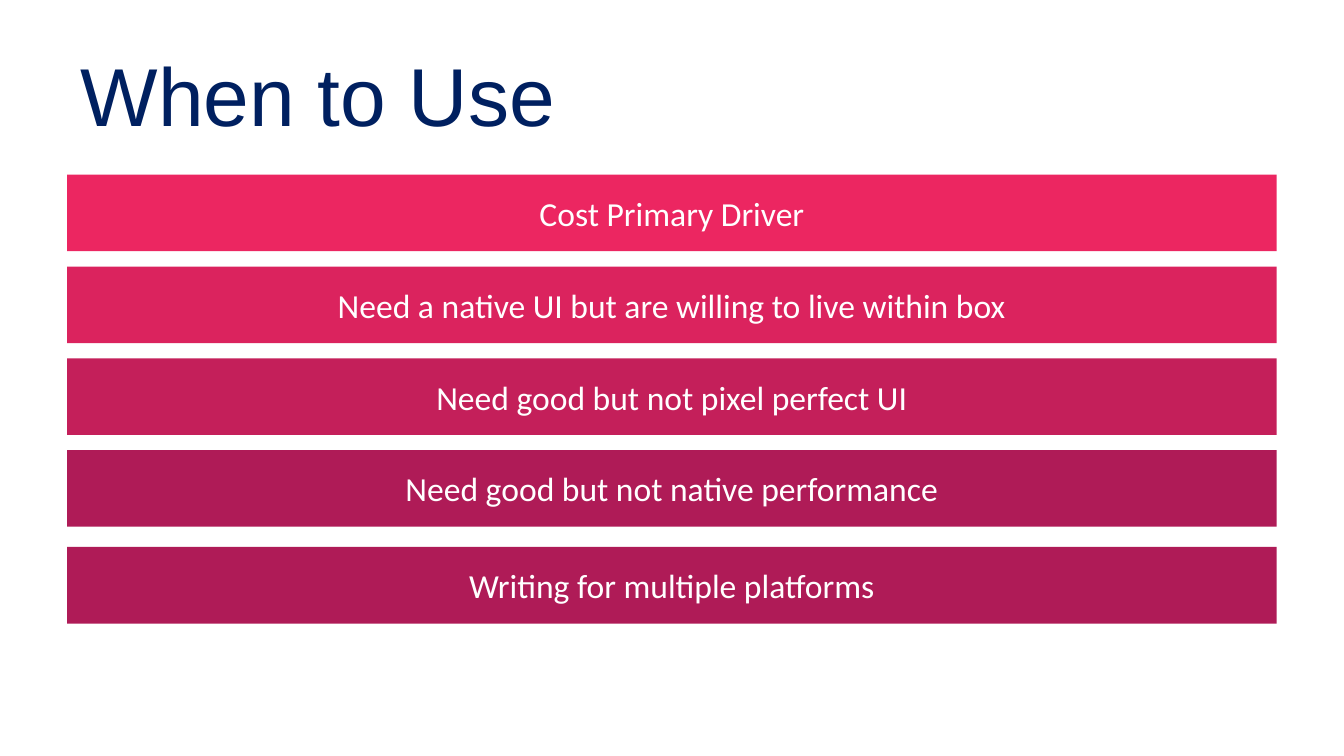
"""Build the "When to Use" slide with five stacked bars."""
from pptx import Presentation
from pptx.dml.color import RGBColor
from pptx.enum.shapes import MSO_SHAPE
from pptx.enum.text import MSO_ANCHOR, PP_ALIGN
from pptx.util import Inches, Pt

RECTANGLE = MSO_SHAPE.RECTANGLE
MIDDLE = MSO_ANCHOR.MIDDLE
LEFT, CENTER = PP_ALIGN.LEFT, PP_ALIGN.CENTER

COLORS = {
    "navy": "002060",
    "white": "FFFFFF",
    "pink": "EC2661",
    "rose": "DB235E",
    "crimson": "C41F5A",
    "plum": "AF1B57",
}
TITLE = "When to Use"
BARS = [
    ("Cost Primary Driver", "pink"),
    ("Need a native UI but are willing to live within box", "rose"),
    ("Need good but not pixel perfect UI", "crimson"),
    ("Need good but not native performance", "plum"),
    ("Writing for multiple platforms", "plum"),
]
SLIDE_WIDTH = Inches(10)
SLIDE_HEIGHT = SLIDE_WIDTH * 9 // 16
MARGIN, CONTENT_WIDTH, BAR_HEIGHT = 0.5, 9, 0.57
FIRST_TOP, FOURTH_TOP, LAST_TOP = 1.3, 3.35, 4.07
BAR_STEP = (FOURTH_TOP - FIRST_TOP) / 3


def color(name):
    return RGBColor.from_string(COLORS[name])


def set_text(shape, text, font_name, size, color_name, alignment):
    frame = shape.text_frame
    frame.text = text
    frame.word_wrap = True
    frame.vertical_anchor = MIDDLE
    paragraph = frame.paragraphs[0]
    paragraph.alignment = alignment
    font = paragraph.runs[0].font
    font.name = font_name
    font.size = Pt(size)
    font.color.rgb = color(color_name)


def add_title(slide):
    title = slide.shapes.title
    title.left, title.top = Inches(MARGIN), Inches(0.23)
    title.width, title.height = Inches(CONTENT_WIDTH), Inches(0.94)
    set_text(title, TITLE, "Arial", 44, "navy", LEFT)


def add_bar(slide, top, text, fill_name):
    bar = slide.shapes.add_shape(
        RECTANGLE, Inches(MARGIN), Inches(top), Inches(CONTENT_WIDTH), Inches(BAR_HEIGHT)
    )
    bar.shadow.inherit = False
    bar.fill.solid()
    bar.fill.fore_color.rgb = color(fill_name)
    bar.line.fill.background()
    set_text(bar, text, "Calibri", 18, "white", CENTER)


def main():
    presentation = Presentation()
    presentation.slide_width, presentation.slide_height = SLIDE_WIDTH, SLIDE_HEIGHT
    slide = presentation.slides.add_slide(presentation.slide_layouts[5])
    add_title(slide)
    tops = [FIRST_TOP + index * BAR_STEP for index in range(len(BARS) - 1)] + [LAST_TOP]
    for top, (text, fill_name) in zip(tops, BARS):
        add_bar(slide, top, text, fill_name)
    presentation.save("out.pptx")


if __name__ == "__main__":
    main()
